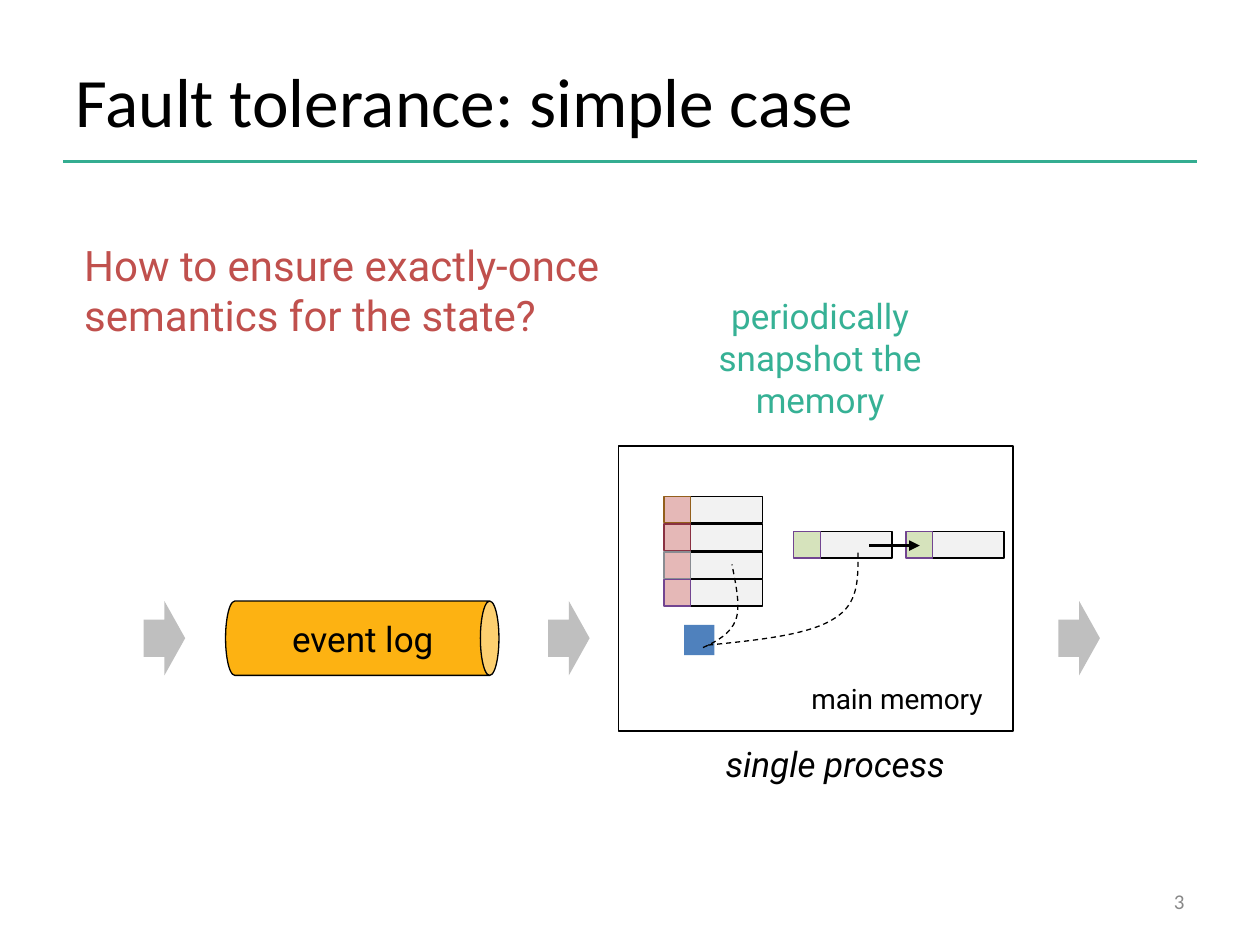
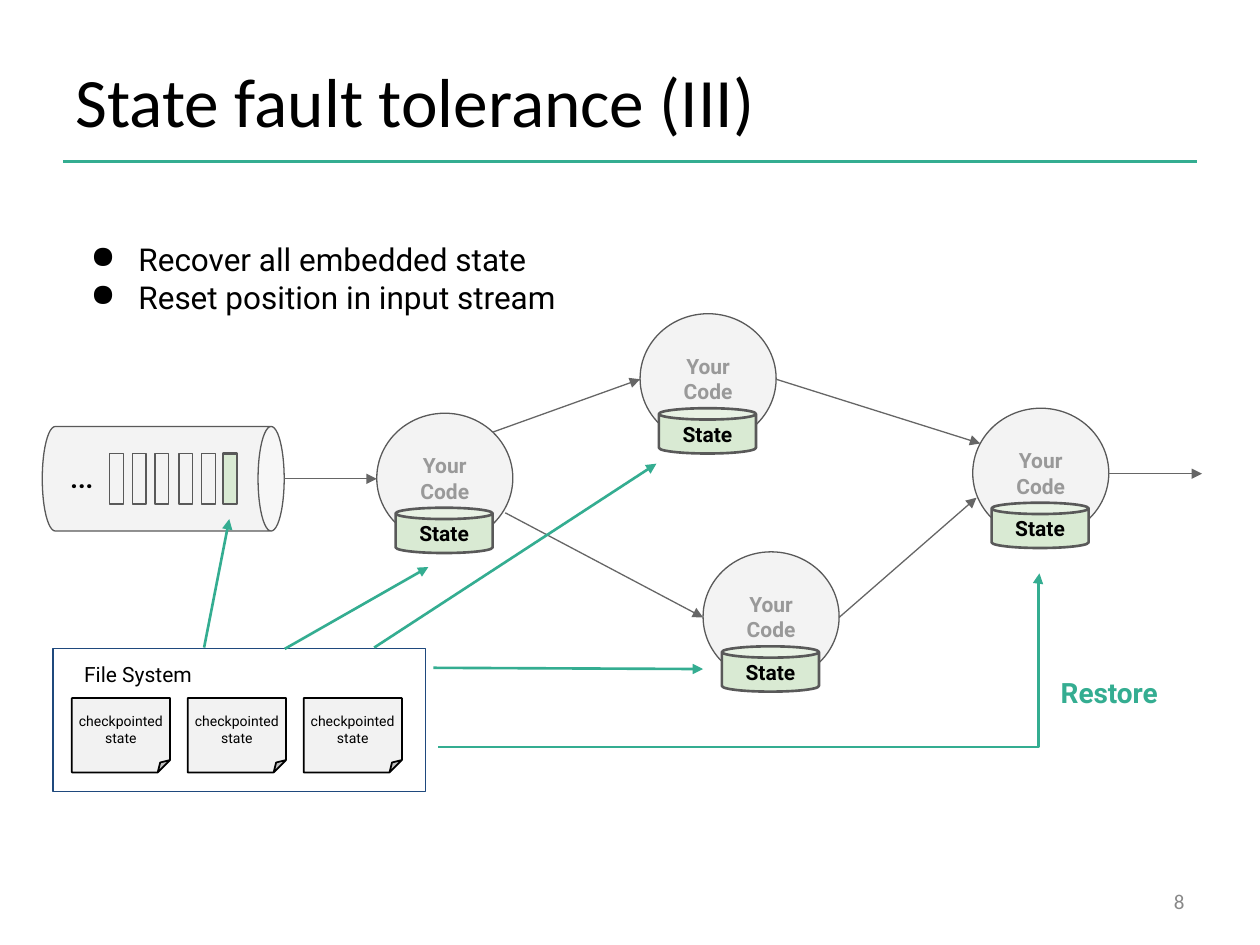
from lxml.etree import SubElement
from pptx import Presentation
from pptx.dml.color import RGBColor
from pptx.enum.dml import MSO_LINE
from pptx.enum.shapes import MSO_CONNECTOR as Route, MSO_SHAPE as Preset
from pptx.enum.text import MSO_ANCHOR as Anchor, MSO_AUTO_SIZE as AutoSize, PP_ALIGN as Align
from pptx.oxml.ns import qn
from pptx.util import Pt

PX = 9144
COLORS = {
    "black": "000000", "teal": "34AD91", "mint": "36B195", "red": "C0504D",
    "page": "888888", "log": "FDB212", "arrow": "BFBFBF", "blue": "4F81BD",
    "value": "F2F2F2", "pink": "E5B8B7", "green": "D6E3BC", "purple": "724591",
    "brown": "935F1C", "maroon": "8A3142", "slate": "898C92", "pale": "F3F3F3",
    "outline": "595959", "code": "999999", "state": "D9EAD3", "flow": "666666",
    "navy": "1F497D",
}
TITLE = {"size": 39.6, "name": "Calibri"}
PAGE = {"size": 12, "name": "Calibri", "color": "page"}
CODE = {"size": 12, "bold": True, "color": "code"}
STATE = {"size": 12, "bold": True}


def emu(*lengths):
    """Turn px lengths into EMU."""
    return [round(length * PX) for length in lengths]


def rgb(name):
    """Look up a named colour."""
    return RGBColor.from_string(COLORS[name])


def set_all(target, values):
    """Set every attribute in the dict on the target."""
    for key, value in values.items():
        setattr(target, key, value)


def write(shape, text, style, align=Align.CENTER, anchor=Anchor.TOP, inset=(10, 5)):
    """Fill a shape's text frame with formatted paragraphs."""
    side, end = emu(*inset)
    frame = shape.text_frame
    set_all(frame, {
        "text": text, "word_wrap": True, "auto_size": AutoSize.NONE,
        "vertical_anchor": anchor, "margin_left": side, "margin_right": side,
        "margin_top": end, "margin_bottom": end,
    })
    font = {"name": "Roboto", "color": "black", **style}
    color, size = font.pop("color"), font.pop("size")
    for paragraph in frame.paragraphs:
        paragraph.alignment = align
        for run in paragraph.runs:
            set_all(run.font, {**font, "size": Pt(size)})
            run.font.color.rgb = rgb(color)
        for line_break in paragraph._p.findall(qn("a:br")):
            SubElement(line_break, qn("a:rPr"), sz=str(size * 100))
    return frame


def label(slide, box, text, style, **layout):
    """Add a text box."""
    return write(slide.shapes.add_textbox(*emu(*box)), text, style, **layout)


def outline(line, color, width):
    """Colour a line and set its width in points."""
    line.color.rgb = rgb(color)
    line.width = Pt(width)


def part(slide, preset, box, fill=None, line=None, width=0.75, turn=0):
    """Add a preset shape with its fill and outline."""
    shape = slide.shapes.add_shape(preset, *emu(*box))
    shape.shadow.inherit = False
    shape.rotation = turn
    if fill:
        shape.fill.solid()
        shape.fill.fore_color.rgb = rgb(fill)
    else:
        shape.fill.background()
    if line:
        outline(shape.line, line, width)
    else:
        shape.line.fill.background()
    return shape


def connect(slide, start, end, color, width, tip=None, route=Route.STRAIGHT):
    """Add a connector, with an arrowhead at the named tip."""
    link = slide.shapes.add_connector(route, *emu(*start, *end))
    outline(link.line, color, width)
    if tip:
        SubElement(link.line._get_or_add_ln(), qn(f"a:{tip}"), type="triangle")
    SubElement(link._element.spPr, qn("a:effectLst"))
    return link


def dashed_curve(slide, start, *controls):
    """Draw a dashed Bezier curve with three control points per segment."""
    builder = slide.shapes.build_freeform(*start, scale=PX)
    builder.add_line_segments(controls, close=False)
    curve = builder.convert_to_shape()
    curve.shadow.inherit = False
    curve.fill.background()
    outline(curve.line, "black", 0.75)
    curve.line.dash_style = MSO_LINE.DASH
    track = curve._element.find(".//" + qn("a:path"))
    steps = track.findall(qn("a:lnTo"))
    for first in range(0, len(steps), 3):
        bezier = SubElement(track, qn("a:cubicBezTo"))
        for step in steps[first:first + 3]:
            bezier.append(step[0])
            track.remove(step)


def titled_slide(deck, title, number):
    """Add a slide with its title, rule and page number."""
    slide = deck.slides.add_slide(deck.slide_layouts[5])
    heading = slide.shapes.title
    set_all(heading, dict(zip(("left", "top", "width", "height"), emu(50, 30, 900, 98))))
    write(heading, title, TITLE, align=Align.LEFT, anchor=Anchor.MIDDLE)
    connect(slide, (50, 128), (950, 128), "teal", 2)
    label(slide, (717, 695, 233, 40), number, PAGE, align=Align.RIGHT, anchor=Anchor.MIDDLE)
    return slide


def entry(slide, left, top, key_fill, key_line):
    """Draw a key cell followed by its value cell."""
    part(slide, Preset.RECTANGLE, (left + 21, top, 57, 21), "value", "black")
    part(slide, Preset.RECTANGLE, (left, top, 21, 21), key_fill, key_line)


def code_node(slide, left, top):
    """Draw an operator circle with its state store."""
    circle = part(slide, Preset.OVAL, (left, top, 108, 103), "pale", "outline")
    write(circle, "Your\vCode", CODE, anchor=Anchor.MIDDLE, inset=(10, 10))
    store = part(slide, Preset.CAN, (left + 15, top + 75, 77, 36), "state", "outline", 1.5)
    write(store, "State", STATE, anchor=Anchor.MIDDLE, inset=(10, 10))


def bullets(frame):
    """Give every paragraph a hanging round bullet."""
    indent, hang = emu(50, -38)
    for paragraph in frame.paragraphs:
        props = paragraph._p.get_or_add_pPr()
        props.set("marL", str(indent))
        props.set("indent", str(hang))
        SubElement(props, qn("a:buChar"), char="●")


def simple_case(deck):
    """Build the slide on a single process with an event log."""
    slide = titled_slide(deck, "Fault tolerance: simple case", "3")
    part(slide, Preset.CAN, (258, 398, 59, 217), "log", "black", turn=90)
    label(slide, (193, 485, 190, 44), "event log", {"size": 20})
    for left in (114, 435, 840):
        part(slide, Preset.RIGHT_ARROW, (left, 477, 33, 59), "arrow")
    label(slide, (543, 584, 240, 44), "single process", {"size": 20, "italic": True})
    label(slide, (629, 536, 166, 37), "main memory", {"size": 16})
    part(slide, Preset.RECTANGLE, (543, 496, 24, 24), "blue")
    part(slide, Preset.RECTANGLE, (491, 354, 313, 226), line="black", width=1)
    for row, key_line in enumerate(("brown", "maroon", "slate", "purple")):
        entry(slide, 527, 394 + 22 * row, "pink", key_line)
    for left in (630, 719):
        entry(slide, left, 422, "green", "purple")
    connect(slide, (690, 433), (730, 433), "black", 2, "tailEnd")
    dashed_curve(slide, (558, 514), (569, 509), (580, 503), (584, 492),
                 (588, 481), (584, 464), (581, 448))
    dashed_curve(slide, (562, 512), (602, 508), (642, 504), (662, 491),
                 (682, 479), (681, 459), (681, 438))
    label(slide, (511, 229, 280, 77), "periodically snapshot the memory",
          {"size": 20, "color": "mint"})
    label(slide, (57, 185, 477, 131), "How to ensure exactly-once semantics for the state?",
          {"size": 24, "color": "red"}, align=Align.LEFT)


def state_recovery(deck):
    """Build the slide on restoring state from checkpoints."""
    slide = titled_slide(deck, "State fault tolerance (III)", "8")
    part(slide, Preset.CAN, (88, 284, 83, 192), "pale", "outline", turn=90)
    for slot in range(5):
        part(slide, Preset.RECTANGLE, (87 + round(18.25 * slot), 360, 11, 40), "pale", "outline")
    label(slide, (46, 356, 38, 47), "...", {"size": 15, "bold": True},
          anchor=Anchor.MIDDLE, inset=(10, 10))
    part(slide, Preset.RECTANGLE, (177, 360, 11, 40), "state", "outline", 1.5)

    for left, top in ((299, 328), (508, 249), (558, 438), (772, 324)):
        code_node(slide, left, top)
    for start, end in (
        ((225, 380), (299, 380)), ((391, 343), (508, 301)), ((401, 407), (558, 490)),
        ((616, 301), (778, 352)), ((666, 490), (775, 395)), ((879, 376), (954, 376)),
    ):
        connect(slide, start, end, "flow", 0.75, "tailEnd")

    part(slide, Preset.RECTANGLE, (42, 515, 296, 113), line="navy")
    for column in range(3):
        checkpoint = part(slide, Preset.FOLDED_CORNER, (57 + 92 * column, 554, 78, 59),
                          "value", "black", 1)
        write(checkpoint, "checkpointed\nstate", {"size": 8}, anchor=Anchor.MIDDLE, inset=(0, 0))
    label(slide, (57, 515, 117, 50), "File System", {"size": 12}, align=Align.LEFT,
          inset=(10, 10))

    for start, end in (
        ((162, 514), (182, 412)), ((226, 515), (340, 450)),
        ((297, 514), (521, 368)), ((344, 530), (558, 531)),
    ):
        connect(slide, start, end, "teal", 1.5, "tailEnd")
    restore = connect(slide, (825, 455), (348, 593), "teal", 1.5, "headEnd", Route.ELBOW)
    guides = restore._element.spPr.prstGeom.get_or_add_avLst()
    SubElement(guides, qn("a:gd"), name="adj1", fmla="val 200")
    label(slide, (832, 502, 151, 95), "Restore", {"size": 16, "bold": True, "color": "teal"},
          align=Align.LEFT, anchor=Anchor.MIDDLE, inset=(10, 10))
    bullets(label(slide, (50, 148, 421, 145),
                  "Recover all embedded state\nReset position in input stream", {"size": 18},
                  align=Align.LEFT, anchor=Anchor.MIDDLE, inset=(10, 10)))


def main():
    """Build and save the deck."""
    deck = Presentation()
    deck.slide_width, deck.slide_height = emu(1000, 750)
    simple_case(deck)
    state_recovery(deck)
    deck.save("out.pptx")


if __name__ == "__main__":
    main()
